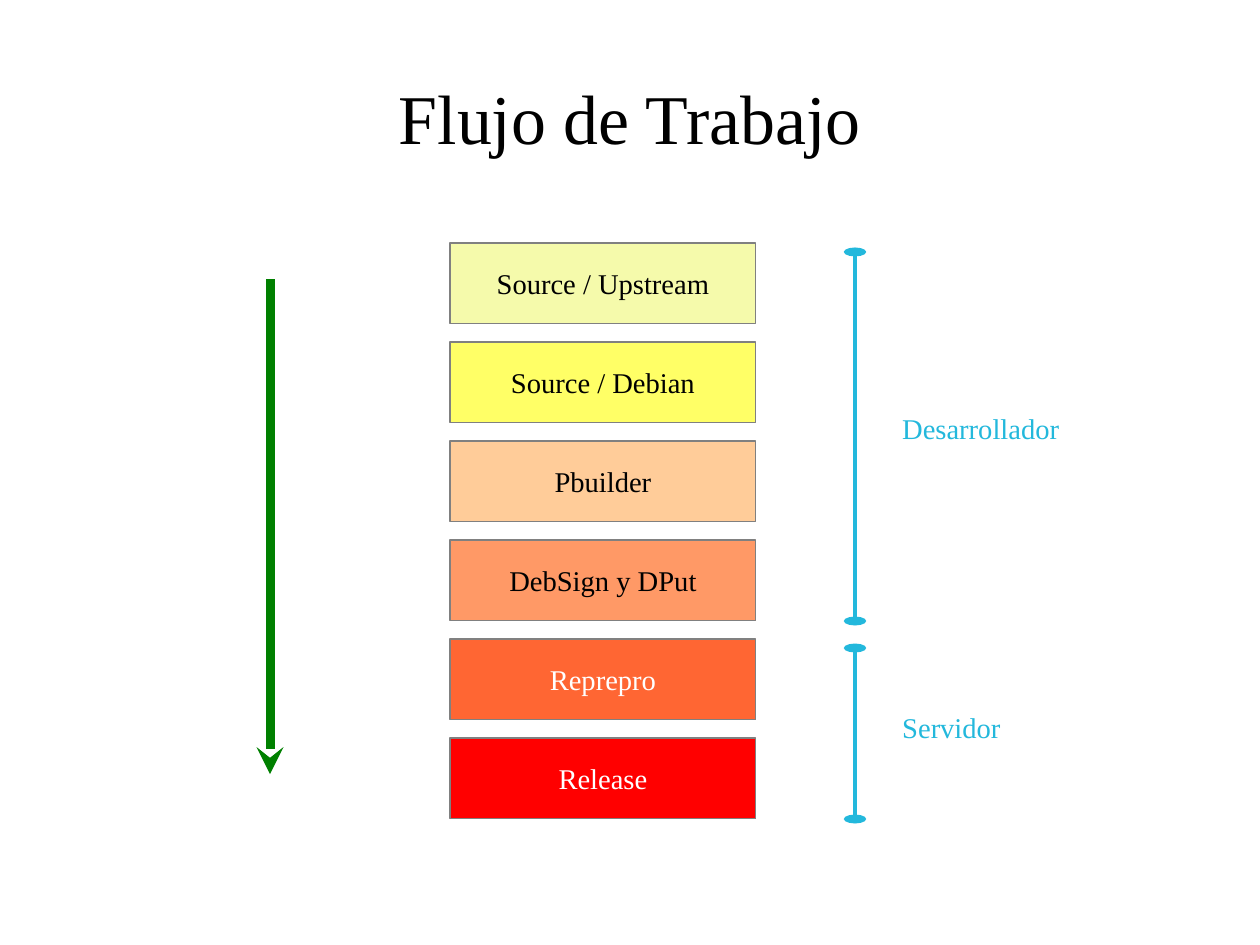
from lxml import etree
from pptx import Presentation
from pptx import util as u
from pptx.dml.color import RGBColor
from pptx.enum import shapes, text
from pptx.oxml.ns import qn

COLORS = {
    "black": "000000", "white": "FFFFFF", "outline": "808080",
    "arrow": "008000", "scope": "23B8DC",
    "upstream": "F5FAAB", "debian": "FFFF66", "pbuilder": "FFCC99",
    "sign": "FF9966", "reprepro": "FF6633", "release": "FF0000",
}
TITLE = "Flujo de Trabajo"
STEPS = [
    ("Source / Upstream", "upstream", "black"),
    ("Source / Debian", "debian", "black"),
    ("Pbuilder", "pbuilder", "black"),
    ("DebSign y DPut", "sign", "black"),
    ("Reprepro", "reprepro", "white"),
    ("Release", "release", "white"),
]
SCOPES = [
    {"label": "Desarrollador", "top": 5.6, "bottom": 13.8, "label_top": 9, "width": 4},
    {"label": "Servidor", "top": 14.4, "bottom": 18.2, "label_top": 15.65, "width": 2.7},
]
STEP_LEFT, STEP_TOP, STEP_WIDTH, STEP_HEIGHT, STEP_PITCH = 10, 5.4, 6.8, 1.8, 2.2
ARROW_X, ARROW_TOP, ARROW_BOTTOM = 6, 6.2, 17.2
SCOPE_X, LABEL_LEFT, LABEL_HEIGHT = 19, 19.8, 0.96
OVAL = {"type": "oval", "w": "lg", "len": "sm"}
STEALTH = {"type": "stealth", "w": "med", "len": "med"}


def color(name):
    return RGBColor.from_string(COLORS[name])


def set_all(target, values):
    for name, value in values.items():
        setattr(target, name, value)


def write(shape, wording, size, color_name, align, anchor, **frame_format):
    frame = shape.text_frame
    set_all(frame, {"vertical_anchor": anchor, **frame_format})
    paragraph = frame.paragraphs[0]
    paragraph.alignment = align
    run = paragraph.add_run()
    run.text = wording
    set_all(run.font, {"name": "Times New Roman", "size": u.Pt(size)})
    run.font.color.rgb = color(color_name)


def add_vertical(slide, x, top, bottom, color_name, width, ends):
    connector = slide.shapes.add_connector(
        shapes.MSO_CONNECTOR.STRAIGHT, u.Cm(x), u.Cm(top), u.Cm(x), u.Cm(bottom))
    connector.line.color.rgb = color(color_name)
    connector.line.width = u.Cm(width)
    line = connector.line._get_or_add_ln()
    for tag, end in ends.items():
        etree.SubElement(line, qn(tag), end)
    etree.SubElement(connector._element.spPr, qn("a:effectLst"))


def main():
    presentation = Presentation()
    set_all(presentation, {"slide_width": u.Cm(28), "slide_height": u.Cm(21)})
    slide = presentation.slides.add_slide(presentation.slide_layouts[6])
    center, left = text.PP_ALIGN.CENTER, text.PP_ALIGN.LEFT
    middle, top = text.MSO_ANCHOR.MIDDLE, text.MSO_ANCHOR.TOP

    title = slide.shapes.add_textbox(u.Cm(1.4), u.Cm(0.84), u.Cm(25.2), u.Cm(3.5))
    write(title, TITLE, 44, "black", center, middle, word_wrap=True,
          margin_left=0, margin_right=0, margin_top=0, margin_bottom=0)

    for index, (wording, fill, font_color) in enumerate(STEPS):
        step = slide.shapes.add_shape(
            shapes.MSO_SHAPE.RECTANGLE, u.Cm(STEP_LEFT),
            u.Cm(STEP_TOP + index * STEP_PITCH), u.Cm(STEP_WIDTH), u.Cm(STEP_HEIGHT))
        step.shadow.inherit = False
        step.fill.solid()
        step.fill.fore_color.rgb = color(fill)
        step.line.color.rgb = color("outline")
        step.line.width = u.Pt(0)
        write(step, wording, 18, font_color, center, middle, word_wrap=False)

    add_vertical(slide, ARROW_X, ARROW_TOP, ARROW_BOTTOM, "arrow", 0.2,
                 {"a:tailEnd": STEALTH})

    for scope in SCOPES:
        add_vertical(slide, SCOPE_X, scope["top"], scope["bottom"], "scope", 0.1,
                     {"a:headEnd": OVAL, "a:tailEnd": OVAL})
        label = slide.shapes.add_textbox(
            u.Cm(LABEL_LEFT), u.Cm(scope["label_top"]),
            u.Cm(scope["width"]), u.Cm(LABEL_HEIGHT))
        write(label, scope["label"], 18, "scope", left, top, word_wrap=False)

    presentation.save("out.pptx")


if __name__ == "__main__":
    main()
